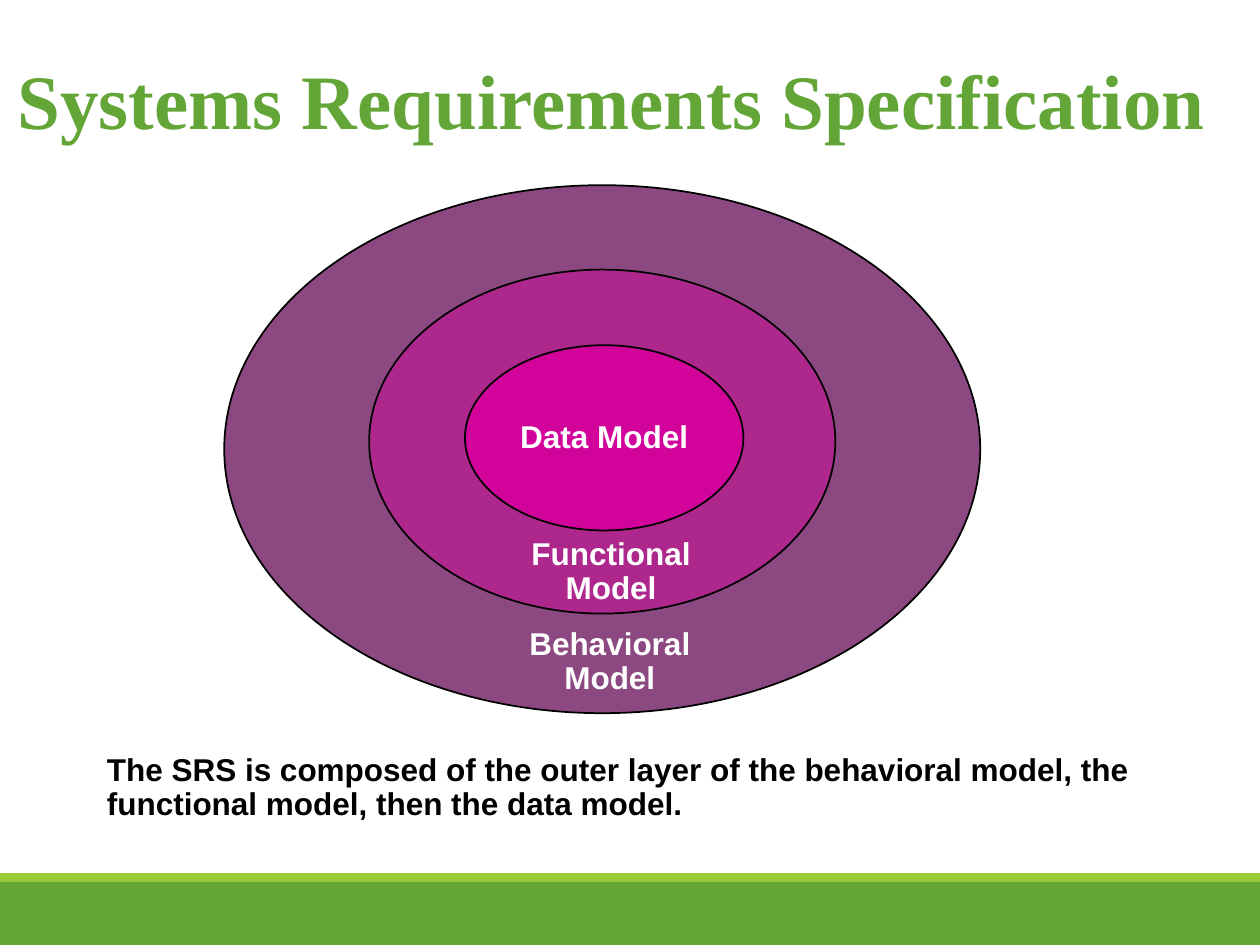
from pptx import Presentation
from pptx.dml.color import RGBColor
from pptx.enum.shapes import MSO_SHAPE as Shape
from pptx.enum.text import MSO_ANCHOR as Anchor, MSO_AUTO_SIZE as Fit, PP_ALIGN as Align
from pptx.util import Inches, Pt

GREEN = RGBColor(0x63, 0xA5, 0x37)
LIME = RGBColor(0x99, 0xCB, 0x38)
PLUM = RGBColor(0x8C, 0x48, 0x81)
PURPLE = RGBColor(0xAD, 0x27, 0x8D)
PINK = RGBColor(0xD1, 0x03, 0x9B)
BLACK = RGBColor(0, 0, 0)
WHITE = RGBColor(0xFF, 0xFF, 0xFF)

WIDE, HIGH = 10, 7.5
BAR, STRIP = 0.5, 0.07


def place(item, box):
    for name, size in zip(("left", "top", "width", "height"), box):
        setattr(item, name, Inches(size))


def write(item, lines, color, align=Align.CENTER, size=18, face="Arial",
          space=0.9, wrap=False, anchor=Anchor.TOP):
    frame = item.text_frame
    form = {"auto_size": Fit.NONE, "word_wrap": wrap, "vertical_anchor": anchor}
    for name, value in form.items():
        setattr(frame, name, value)
    frame.text = "\n".join(lines)
    for para in frame.paragraphs:
        para.alignment, para.line_spacing = align, space
        para.font.color.rgb = color
        for name, value in {"size": Pt(size), "name": face, "bold": True}.items():
            setattr(para.font, name, value)


def add_shape(slide, kind, box, fill, line=None):
    item = slide.shapes.add_shape(kind, *map(Inches, box))
    item.shadow.inherit = False
    item.fill.solid()
    item.fill.fore_color.rgb = fill
    if line is None:
        item.line.fill.background()
    else:
        item.line.color.rgb = line
        item.line.width = Pt(1)
    return item


def add_text(slide, box, lines, color, **form):
    item = slide.shapes.add_textbox(*map(Inches, box))
    write(item, lines, color, **form)


def add_title(slide, text):
    """Fill the title, with no side margins so that it stays on one line."""
    title = slide.shapes.title
    place(title, (0.07, 0.39, 9.57, 0.79))
    frame = title.text_frame
    for side, gap in {"left": 0, "right": 0, "top": 0.03, "bottom": 0.03}.items():
        setattr(frame, f"margin_{side}", Inches(gap))
    write(title, [text], GREEN, size=44, face="Times New Roman", space=1)


def add_bars(slide):
    top = HIGH - BAR
    add_shape(slide, Shape.RECTANGLE, (0, top, WIDE, BAR), GREEN)
    add_shape(slide, Shape.RECTANGLE, (0, top - STRIP, WIDE, STRIP), LIME)


def add_rings(slide):
    rings = [((1.78, 1.47, 6, 4.19), PLUM),
             ((2.93, 2.14, 3.7, 2.73), PURPLE),
             ((3.69, 2.74, 2.21, 1.47), PINK)]
    for box, fill in rings:
        core = add_shape(slide, Shape.OVAL, box, fill, BLACK)
    write(core, ["Data Model"], WHITE, anchor=Anchor.MIDDLE)
    for left, top, name in ((4.1, 4.94, "Behavioral"), (4.11, 4.22, "Functional")):
        add_text(slide, (left, top, 1.48, 0.64), [name, "Model"], WHITE)


def main():
    deck = Presentation()
    deck.slide_width, deck.slide_height = Inches(WIDE), Inches(HIGH)
    slide = deck.slides.add_slide(deck.slide_layouts[5])
    add_bars(slide)
    add_title(slide, "Systems Requirements Specification")
    add_rings(slide)
    note = ("The SRS is composed of the outer layer of the behavioral model, "
            "the functional model, then the data model.")
    add_text(slide, (0.75, 5.94, 8.49, 0.64), [note], BLACK,
             align=Align.LEFT, wrap=True)
    deck.save("out.pptx")


if __name__ == "__main__":
    main()
